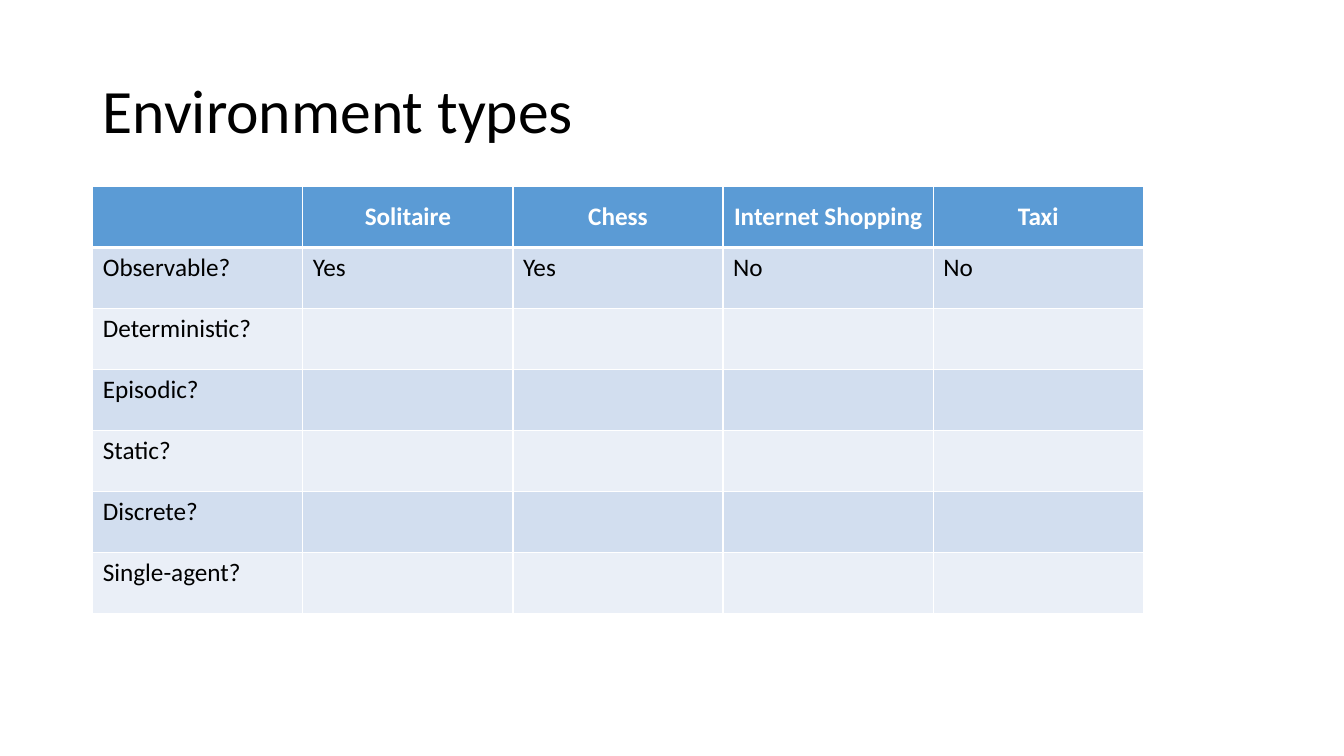
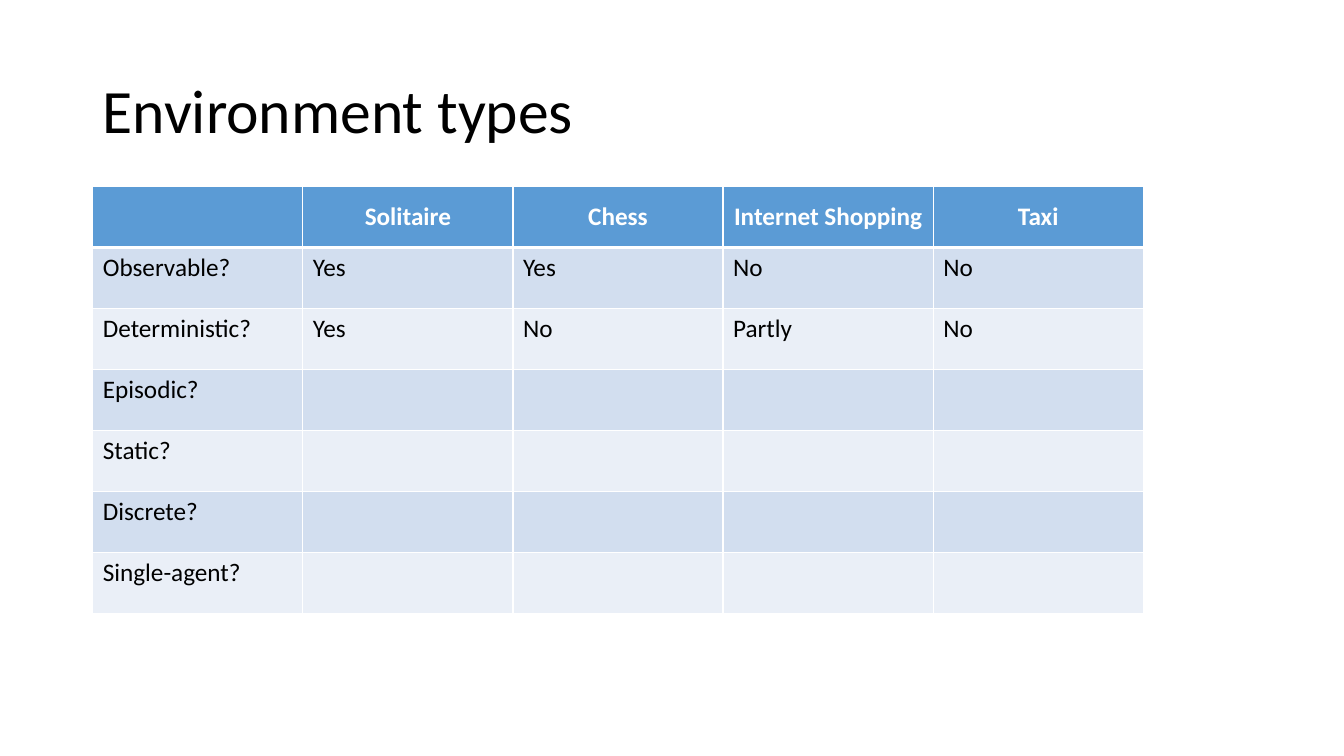
from dataclasses import dataclass

import pptx
import pptx.dml.color
import pptx.enum.text
import pptx.oxml
import pptx.oxml.ns
import pptx.util
from pptx.util import Inches

ANCHOR = pptx.enum.text.MSO_ANCHOR
ALIGN = pptx.enum.text.PP_ALIGN


@dataclass(frozen=True)
class Theme:
    font: str = "Calibri"
    text: str = "000000"
    white: str = "FFFFFF"
    header: str = "5B9BD5"
    bands: tuple = ("D2DEEF", "EAEFF7")
    title_size: int = 44
    table_size: int = 18
    rule: int = 1
    header_rule: int = 3


def rgb(color):
    return pptx.dml.color.RGBColor.from_string(color)


class Deck:
    def __init__(self, theme):
        self.theme = theme
        self.prs = pptx.Presentation()
        self.prs.slide_width = Inches(13.33)
        self.prs.slide_height = Inches(7.5)
        self.slide = None

    def add_slide(self, title):
        self.slide = self.prs.slides.add_slide(self.prs.slide_layouts[6])
        self.title(title)

    def style(self, p, size, color, bold=False):
        p.font.name = self.theme.font
        p.font.size = pptx.util.Pt(size)
        p.font.color.rgb = rgb(color)
        p.font.bold = bold

    def title(self, text):
        sp = self.slide.shapes.add_textbox(
            Inches(0.92), Inches(0.4), Inches(11.5), Inches(1.45))
        tf = sp.text_frame
        tf.word_wrap = True
        tf.vertical_anchor = ANCHOR.MIDDLE
        p = tf.paragraphs[0]
        p.text = text
        p.line_spacing = 0.9
        self.style(p, self.theme.title_size, self.theme.text)

    def borders(self, cell, top, bottom):
        """Draw white cell borders; call before filling, as the schema orders them."""
        tc_pr = cell._tc.get_or_add_tcPr()
        widths = {"L": self.theme.rule, "R": self.theme.rule, "T": top, "B": bottom}
        for side, width in widths.items():
            tc_pr.append(pptx.oxml.parse_xml(
                f'<a:ln{side} {pptx.oxml.ns.nsdecls("a")} w="{pptx.util.Pt(width)}">'
                f'<a:solidFill><a:srgbClr val="{self.theme.white}"/></a:solidFill>'
                f'</a:ln{side}>'))

    def cell(self, cell, text, row):
        t = self.theme
        is_header = row == 0
        self.borders(cell,
                     top=t.header_rule if row == 1 else t.rule,
                     bottom=t.header_rule if is_header else t.rule)
        cell.fill.solid()
        cell.fill.fore_color.rgb = rgb(t.header if is_header else t.bands[(row - 1) % 2])
        cell.vertical_anchor = ANCHOR.MIDDLE if is_header else ANCHOR.TOP
        p = cell.text_frame.paragraphs[0]
        p.text = text
        p.alignment = ALIGN.CENTER if is_header else ALIGN.LEFT
        self.style(p, t.table_size, t.white if is_header else t.text, is_header)

    def table(self, rows):
        width, height = Inches(10.42), Inches(4.24)
        table = self.slide.shapes.add_table(
            len(rows), len(rows[0]), Inches(0.92), Inches(1.85), width, height).table
        for column in table.columns:
            column.width = width // len(rows[0])
        for i, texts in enumerate(rows):
            table.rows[i].height = height // len(rows)
            for j, text in enumerate(texts):
                self.cell(table.cell(i, j), text, i)


ENVIRONMENTS = ["Solitaire", "Chess", "Internet Shopping", "Taxi"]
PROPERTIES = ["Observable?", "Deterministic?", "Episodic?", "Static?",
              "Discrete?", "Single-agent?"]
ANSWERS = [["Yes", "Yes", "No", "No"],
           ["Yes", "No", "Partly", "No"]]


def environment_rows(answered):
    """Table rows with only the first `answered` properties filled in."""
    blank = [""] * len(ENVIRONMENTS)
    rows = [["", *ENVIRONMENTS]]
    for i, name in enumerate(PROPERTIES):
        rows.append([name, *(ANSWERS[i] if i < answered else blank)])
    return rows


def main():
    deck = Deck(Theme())
    for answered in (1, 2):
        deck.add_slide("Environment types")
        deck.table(environment_rows(answered))
    deck.prs.save("out.pptx")


if __name__ == "__main__":
    main()
